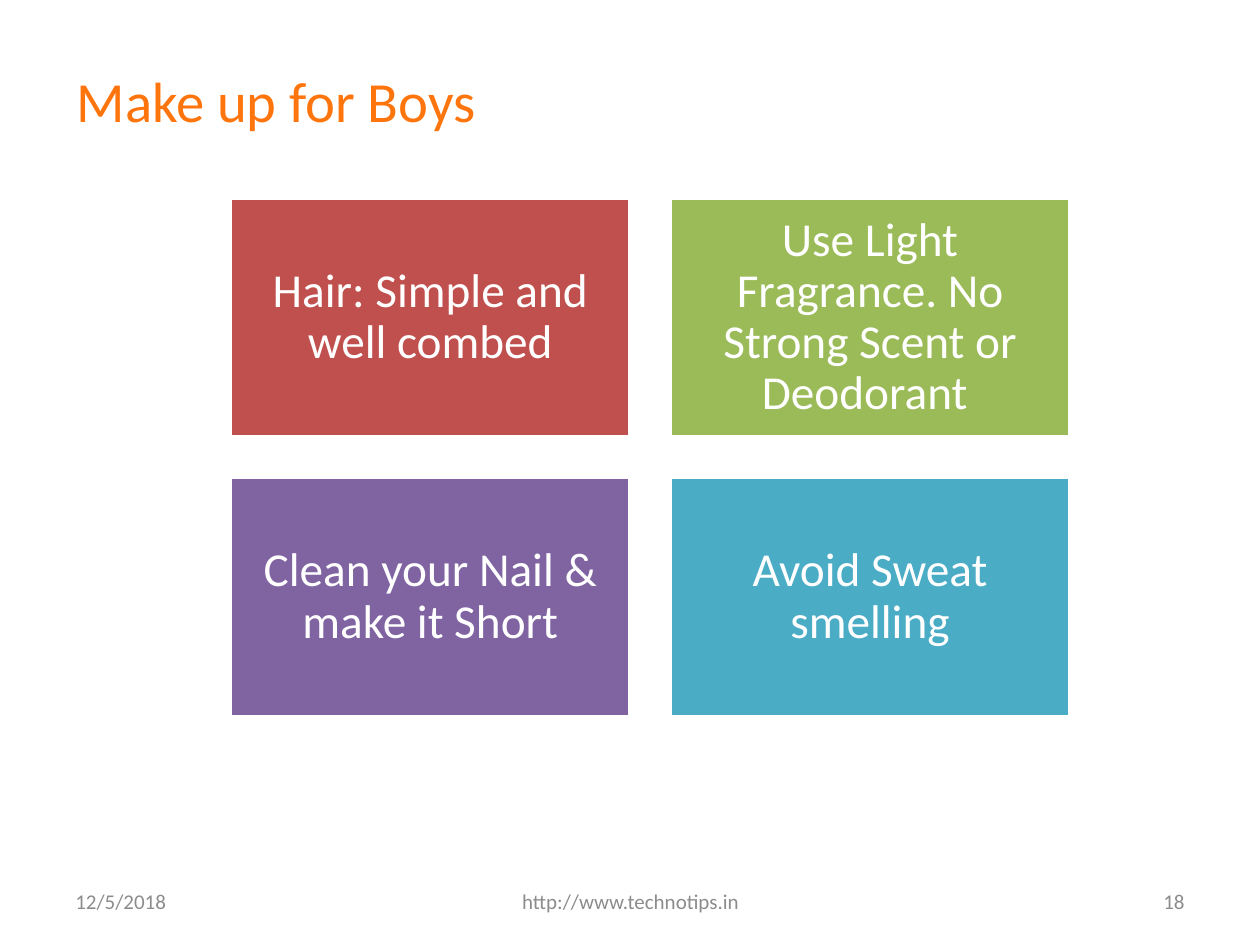
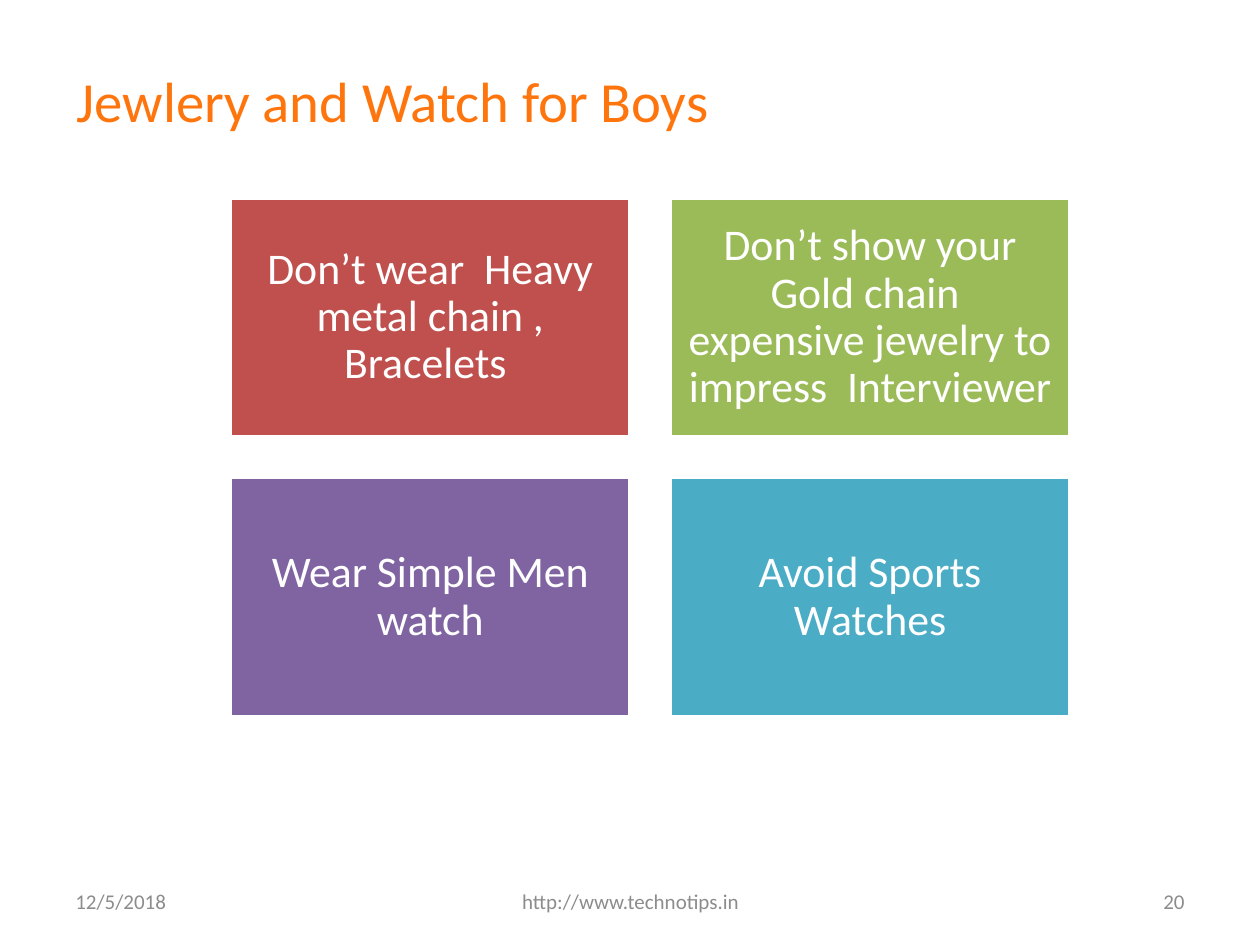
from pptx import Presentation
from pptx.dml.color import RGBColor
from pptx.enum.shapes import MSO_SHAPE
from pptx.enum.text import MSO_ANCHOR, PP_ALIGN
from pptx.util import Inches, Pt

SLIDES = [
    {"title": "Make up for Boys", "number": "18", "size": 27, "inset": 0.11,
     "tips": ["Hair: Simple and well combed",
              "Use Light Fragrance. No Strong Scent or Deodorant ",
              "Clean your Nail & make it Short",
              "Avoid Sweat smelling"]},
    {"title": "Jewlery and Watch for Boys", "number": "20", "size": 25, "inset": 0.1,
     "tips": ["Don’t wear  Heavy metal chain , Bracelets ",
              "Don’t show your Gold chain  expensive jewelry to impress  Interviewer",
              "Wear Simple Men watch",
              "Avoid Sports Watches"]},
]
DATE = "12/5/2018"
SITE = "http://www.technotips.in"

FONT = "Calibri"
COLORS = {"title": "FF750D", "footer": "8C8C8C", "white": "FFFFFF"}
TILE_COLORS = ["C0504D", "9BBB59", "8064A2", "4BACC6"]
COLUMNS = 2
GRID_LEFT, GRID_TOP = 1.83, 1.57
TILE_W, TILE_H, GAP = 3.17, 1.9, 0.32
FOOTER_TOP, FOOTER_H = 6.95, 0.4


def rgb(color):
    return RGBColor.from_string(color)


def set_text(sp, text, size, color, align):
    tf = sp.text_frame
    tf.word_wrap = True
    tf.vertical_anchor = MSO_ANCHOR.MIDDLE
    p = tf.paragraphs[0]
    p.text = text
    p.alignment = align
    p.font.name = FONT
    p.font.size = Pt(size)
    p.font.color.rgb = rgb(color)
    return tf


def add_text(s, box, text, size, color, align=PP_ALIGN.LEFT):
    sp = s.shapes.add_textbox(*map(Inches, box))
    set_text(sp, text, size, color, align)


def add_tile(s, index, text, size, inset):
    row, col = divmod(index, COLUMNS)
    left = GRID_LEFT + col * (TILE_W + GAP)
    top = GRID_TOP + row * (TILE_H + GAP)
    sp = s.shapes.add_shape(MSO_SHAPE.RECTANGLE, Inches(left), Inches(top),
                            Inches(TILE_W), Inches(TILE_H))
    sp.shadow.inherit = False
    sp.fill.solid()
    sp.fill.fore_color.rgb = rgb(TILE_COLORS[index])
    sp.line.color.rgb = rgb(COLORS["white"])
    sp.line.width = Pt(2)
    tf = set_text(sp, text, size, COLORS["white"], PP_ALIGN.CENTER)
    tf.margin_left = tf.margin_right = Inches(inset)
    tf.margin_top = tf.margin_bottom = Inches(inset)
    tf.paragraphs[0].line_spacing = 0.9


def add_footer(s, number):
    for left, width, text, align in [
        (3.42, 3.17, SITE, PP_ALIGN.CENTER),
        (0.5, 2.33, DATE, PP_ALIGN.LEFT),
        (7.17, 2.33, number, PP_ALIGN.RIGHT),
    ]:
        add_text(s, (left, FOOTER_TOP, width, FOOTER_H), text, 12,
                 COLORS["footer"], align)


def main():
    prs = Presentation()
    prs.slide_width, prs.slide_height = Inches(10), Inches(7.5)
    for content in SLIDES:
        s = prs.slides.add_slide(prs.slide_layouts[6])
        add_text(s, (0.51, 0.5, 9, 0.58), content["title"], 32.4, COLORS["title"])
        add_footer(s, content["number"])
        for index, tip in enumerate(content["tips"]):
            add_tile(s, index, tip, content["size"], content["inset"])
    prs.save("out.pptx")


if __name__ == "__main__":
    main()
